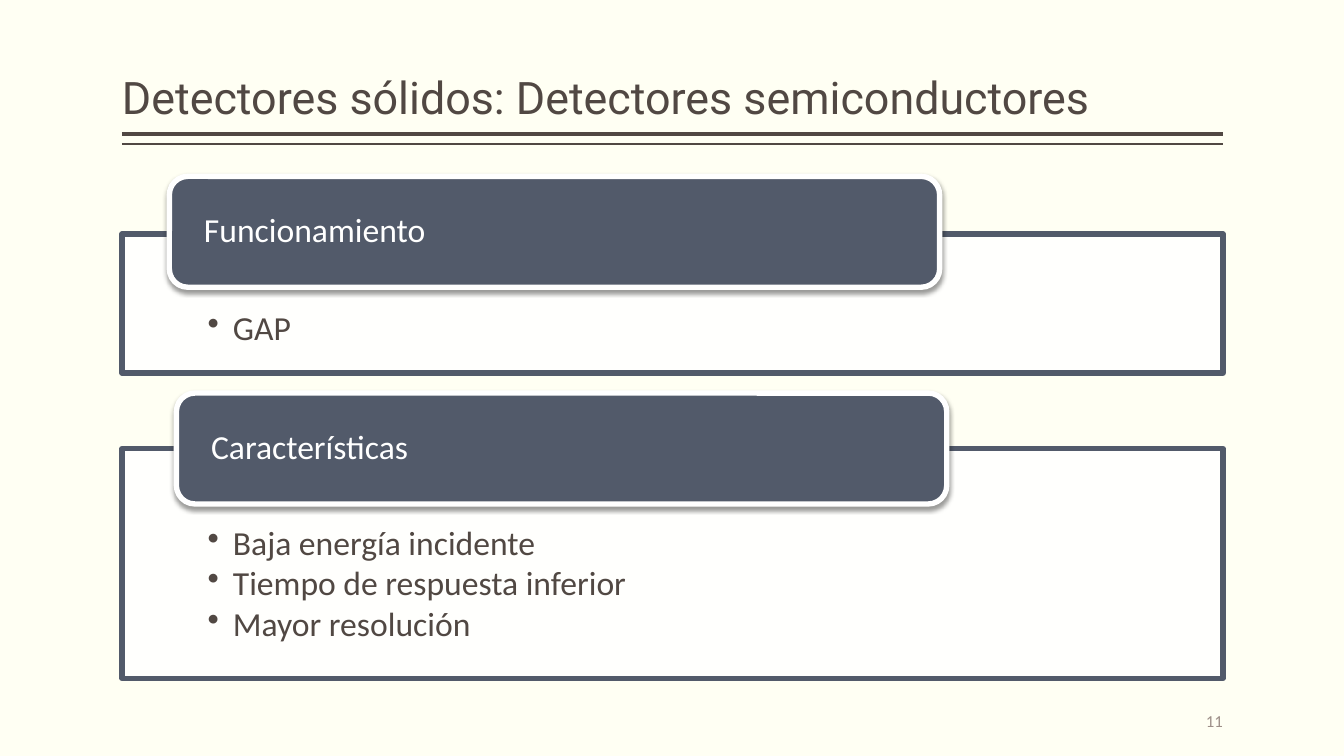
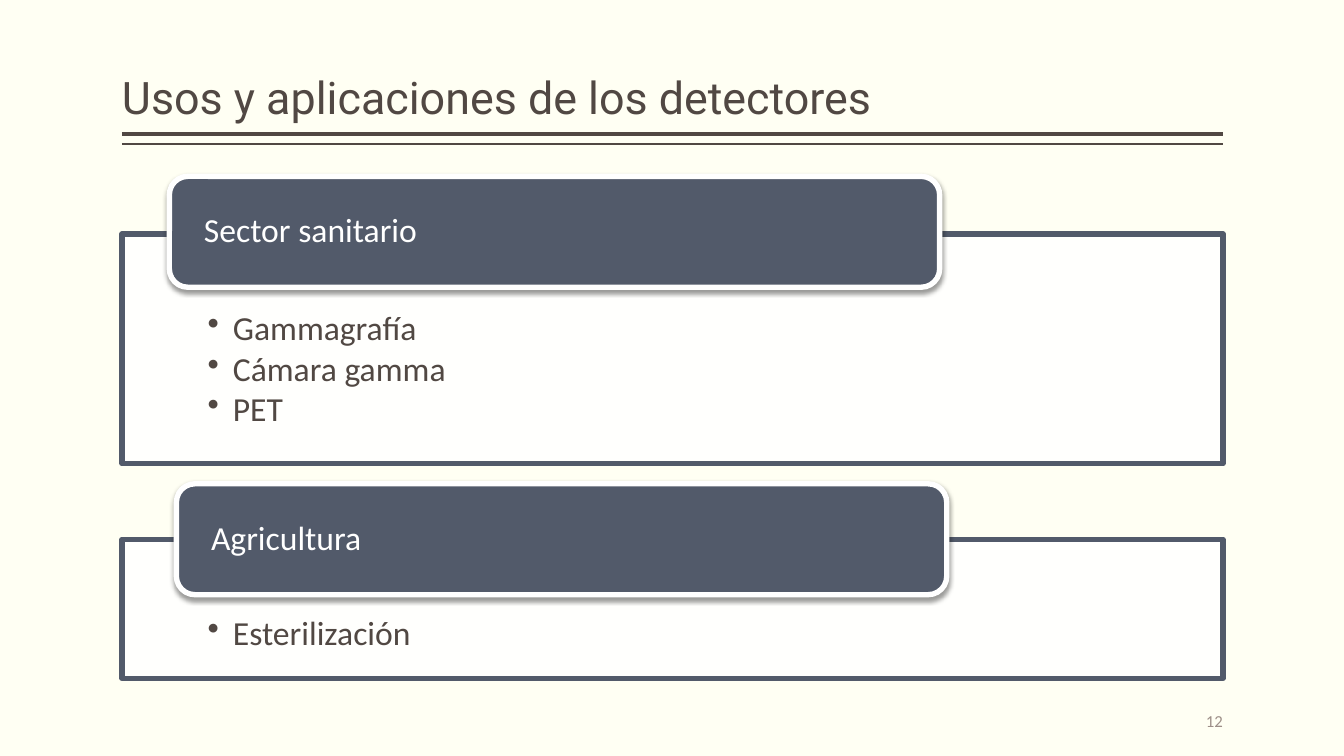
import dataclasses

import lxml.etree
import pptx
import pptx.dml.color
import pptx.enum.shapes
import pptx.enum.text
import pptx.oxml.ns
import pptx.util

Inches = pptx.util.Inches
Pt = pptx.util.Pt
Align = pptx.enum.text.PP_ALIGN
Anchor = pptx.enum.text.MSO_ANCHOR
ShapeKind = pptx.enum.shapes.MSO_SHAPE


@dataclasses.dataclass(frozen=True)
class Theme:
    """Colours, fonts and type sizes shared by every slide."""

    background: str = "FFFFF3"
    ink: str = "514843"
    accent: str = "525A6A"
    white: str = "FFFFFF"
    muted: str = "9D8F88"
    shadow: str = "000000"
    title_font: str = "Roboto"
    body_font: str = "Calibri"
    title_size: float = 32
    body_size: float = 24
    number_size: float = 12


THEME = Theme()
LEFT, WIDTH = 1.21, 10.92
PANEL_TOP, PANEL_GAP = 2.32, 0.75
PANEL_BASE, ROW_HEIGHT = 0.93, 0.45
HEADER_OFFSETS = ((0.47, -0.57), (0.54, -0.55))
HEADER_SIZE = (7.64, 1.1)

SLIDES = (
    (11, "Detectores sólidos: Detectores semiconductores", (
        ("Funcionamiento", ("GAP",)),
        ("Características", ("Baja energía incidente", "Tiempo de respuesta inferior", "Mayor resolución")),
    )),
    (12, "Usos y aplicaciones de los detectores", (
        ("Sector sanitario", ("Gammagrafía", "Cámara gamma", "PET")),
        ("Agricultura", ("Esterilización",)),
    )),
)


def rgb(value):
    """Return a colour object for a hexadecimal string."""
    return pptx.dml.color.RGBColor.from_string(value)


def add_xml(parent, tag, **attributes):
    """Append a drawing element with the given attributes."""
    element = lxml.etree.SubElement(parent, pptx.oxml.ns.qn(tag))
    for name, value in attributes.items():
        element.set(name, str(value))
    return element


def write_text(shape, *lines, size=THEME.body_size, font=THEME.body_font, color=THEME.ink,
               align=Align.LEFT, anchor=Anchor.TOP, insets=(0, 0.05, 0, 0.05),
               line_spacing=0.9, space_after=0, bullet=None):
    """Fill a shape with one formatted paragraph for each line."""
    frame = shape.text_frame
    frame.word_wrap = True
    frame.auto_size = pptx.enum.text.MSO_AUTO_SIZE.NONE
    frame.vertical_anchor = anchor
    frame.margin_left, frame.margin_top, frame.margin_right, frame.margin_bottom = map(Inches, insets)
    frame.text = "\n".join(lines)
    for paragraph in frame.paragraphs:
        paragraph.alignment = align
        paragraph.line_spacing = line_spacing
        paragraph.space_before = Pt(0)
        paragraph.space_after = Pt(space_after)
        paragraph.font.size = Pt(size)
        paragraph.font.name = font
        paragraph.font.color.rgb = rgb(color)
        if bullet:
            add_bullet(paragraph, bullet)


def add_bullet(paragraph, character, indent=0.25):
    """Give a paragraph a hanging bullet."""
    properties = paragraph._p.get_or_add_pPr()
    properties.set("marL", str(Inches(indent)))
    properties.set("indent", str(-Inches(indent)))
    bullet = lxml.etree.Element(pptx.oxml.ns.qn("a:buChar"), char=character)
    properties.insert_element_before(bullet, "a:tabLst", "a:defRPr", "a:extLst")


def add_box(slide, kind, box, fill, line, line_width):
    """Add a filled and outlined shape without a shadow."""
    shape = slide.shapes.add_shape(kind, *map(Inches, box))
    shape.shadow.inherit = False
    shape.fill.solid()
    shape.fill.fore_color.rgb = rgb(fill)
    shape.line.color.rgb = rgb(line)
    shape.line.width = Pt(line_width)
    return shape


def add_rule(slide, top, width):
    """Draw one horizontal rule under the title."""
    rule = slide.shapes.add_connector(
        pptx.enum.shapes.MSO_CONNECTOR.STRAIGHT,
        Inches(LEFT), Inches(top), Inches(LEFT + WIDTH), Inches(top))
    rule.line.color.rgb = rgb(THEME.ink)
    rule.line.width = Pt(width)
    add_xml(rule._element.spPr, "a:effectLst")


def add_title(slide, text, box):
    """Place the title with its double rule below."""
    left, top, width, height = box
    title = slide.shapes.title
    title.left, title.top, title.width, title.height = map(Inches, box)
    write_text(title, text, size=THEME.title_size, font=THEME.title_font, anchor=Anchor.BOTTOM)
    add_rule(slide, top + height + 0.05, 3)
    add_rule(slide, top + height + 0.15, 1)


def add_panel(slide, box, items):
    """Add a translucent outlined panel with a bullet list."""
    panel = add_box(slide, ShapeKind.RECTANGLE, box, THEME.white, THEME.accent, 3.78)
    color = panel._element.xpath("./p:spPr/a:solidFill/a:srgbClr")[0]
    add_xml(color, "a:alpha", val=90000)
    write_text(panel, *items, insets=(0.85, 0.77, 0.85, 0.19), space_after=3, bullet="•")


def add_header(slide, box, text):
    """Add a rounded heading with a soft shadow."""
    header = add_box(slide, ShapeKind.ROUNDED_RECTANGLE, box, THEME.accent, THEME.white, 3.82)
    effects = header._element.spPr.find(pptx.oxml.ns.qn("a:effectLst"))
    shadow = add_xml(effects, "a:outerShdw", blurRad=Pt(3.5), dist=Pt(2), dir=5400000, rotWithShape=0)
    color = add_xml(shadow, "a:srgbClr", val=THEME.shadow)
    add_xml(color, "a:alpha", val=38000)
    write_text(header, text, color=THEME.white, anchor=Anchor.MIDDLE, insets=(0.29, 0, 0.29, 0))


def add_sections(slide, sections):
    """Stack the panels and headings down the slide."""
    top = PANEL_TOP
    for (heading, items), (shift_x, shift_y) in zip(sections, HEADER_OFFSETS):
        height = PANEL_BASE + ROW_HEIGHT * len(items)
        add_panel(slide, (LEFT, top, WIDTH, height), items)
        add_header(slide, (LEFT + shift_x, top + shift_y, *HEADER_SIZE), heading)
        top += height + PANEL_GAP


def add_page_number(slide, number, box):
    """Write the page number at the lower right."""
    text_box = slide.shapes.add_textbox(*map(Inches, box))
    write_text(text_box, str(number), size=THEME.number_size, color=THEME.muted,
               align=Align.RIGHT, anchor=Anchor.MIDDLE, line_spacing=1.0)


def add_section_slide(presentation, number, title, sections):
    """Build one slide of stacked sections."""
    slide = presentation.slides.add_slide(presentation.slide_layouts.get_by_name("Title Only"))
    add_title(slide, title, (LEFT, 0.08, WIDTH, 1.2))
    add_sections(slide, sections)
    add_page_number(slide, number, (LEFT + WIDTH - 2, 6.95, 2, 0.4))


def main():
    """Build and save the presentation."""
    presentation = pptx.Presentation()
    presentation.slide_width = Inches(13.33)
    presentation.slide_height = Inches(7.5)
    background = presentation.slide_master.background.fill
    background.solid()
    background.fore_color.rgb = rgb(THEME.background)
    for number, title, sections in SLIDES:
        add_section_slide(presentation, number, title, sections)
    presentation.save("out.pptx")


if __name__ == "__main__":
    main()
